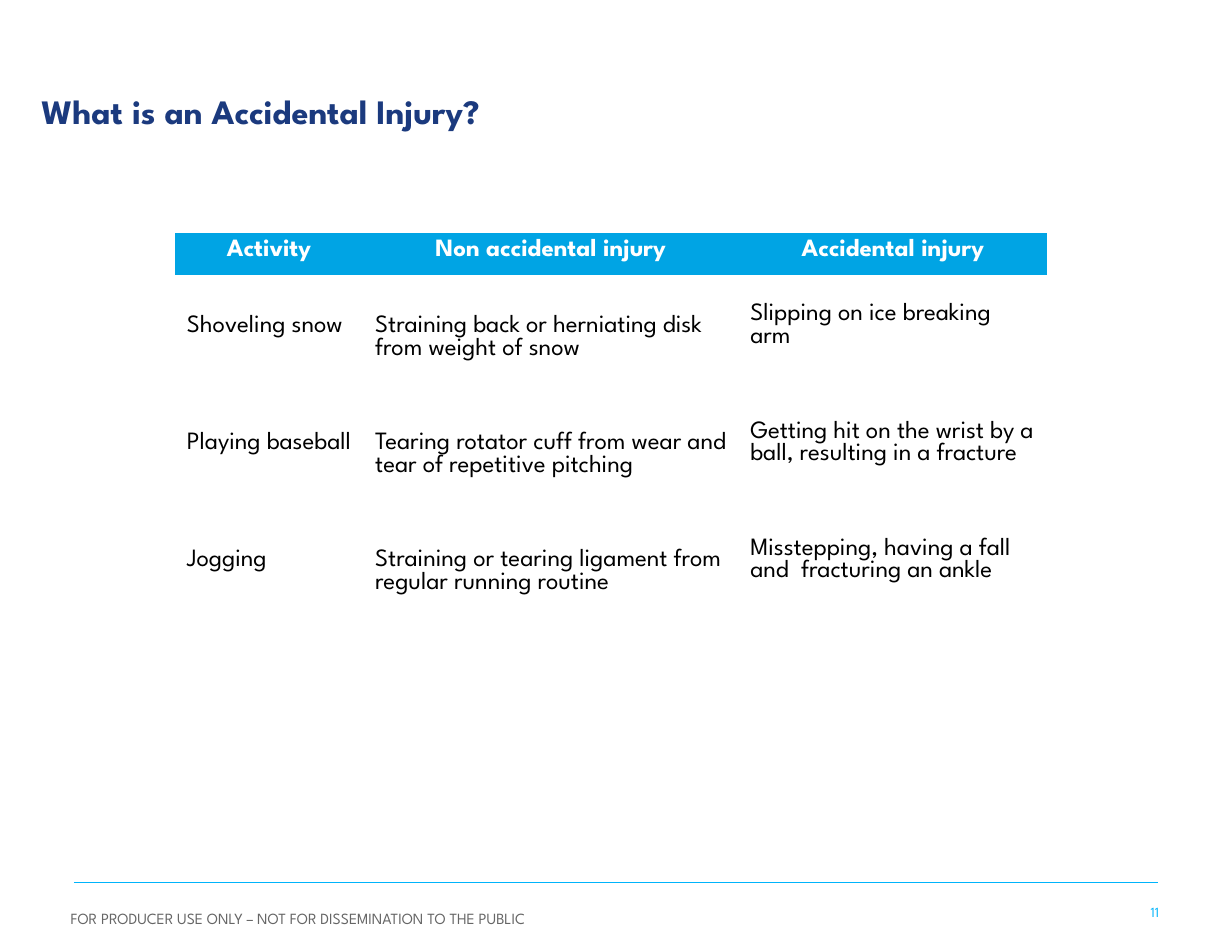
from dataclasses import dataclass
from pptx import Presentation
from pptx.dml.color import RGBColor as RGB
from pptx.enum.shapes import MSO_CONNECTOR as CONNECTOR
from pptx.enum.text import MSO_ANCHOR as ANCHOR, MSO_AUTO_SIZE as AUTO, PP_ALIGN as ALIGN
from pptx.oxml.ns import qn
from pptx.util import Pt
from lxml import etree


@dataclass(frozen=True)
class Theme:
    font: str = "League Spartan"
    navy: str = "1B3A7E"
    blue: str = "00A4E4"
    cyan: str = "00B4FB"
    gray: str = "666666"
    white: str = "FFFFFF"
    black: str = "000000"
    title: int = 22
    table: int = 16
    footer: int = 10
    number: int = 9


T = Theme()
NO_STYLE = "{2D5ABB26-0587-4C30-8999-92F81FD0307C}"


def write(tf, text, size, color, bold=False, align=ALIGN.LEFT):
    tf.text = text
    p = tf.paragraphs[0]
    p.alignment = align
    font = p.runs[0].font
    font.name, font.size, font.bold = T.font, Pt(size), bold
    font.color.rgb = RGB.from_string(color)


def frame(sp, anchor, wrap=True):
    tf = sp.text_frame
    tf.margin_left = tf.margin_right = tf.margin_top = tf.margin_bottom = 0
    tf.auto_size, tf.vertical_anchor, tf.word_wrap = AUTO.NONE, anchor, wrap
    return tf


prs = Presentation()
prs.slide_width, prs.slide_height = Pt(792), Pt(612)
s = prs.slides.add_slide(prs.slide_layouts[5])

# Footer rule, slide number and notice
rule = s.shapes.add_connector(CONNECTOR.STRAIGHT, Pt(47.5), Pt(567.4), Pt(744.5), Pt(567.4))
rule.line.color.rgb = RGB.from_string(T.cyan)
rule.line.width = Pt(0.75)
etree.SubElement(rule._element.spPr, qn("a:effectLst"))

sp = s.shapes.add_textbox(Pt(720.7), Pt(573.8), Pt(24.5), Pt(24.5))
write(frame(sp, ANCHOR.MIDDLE), "11", T.number, T.cyan, align=ALIGN.RIGHT)

sp = s.shapes.add_textbox(Pt(45.4), Pt(583.9), Pt(331.2), Pt(12.2))
write(frame(sp, ANCHOR.BOTTOM, wrap=False),
      "FOR PRODUCER USE ONLY – NOT FOR DISSEMINATION TO THE PUBLIC", T.footer, T.gray)

# Title
title = s.shapes.title
title.left, title.top, title.width, title.height = Pt(26.6), Pt(33.8), Pt(495.4), Pt(50.4)
write(frame(title, ANCHOR.BOTTOM), "What is an Accidental Injury?", T.title, T.navy, bold=True)

# Injury table
rows = [
    ("Activity", "Non accidental injury", "Accidental injury"),
    ("Shoveling snow", "Straining back or herniating disk from weight of snow",
     "Slipping on ice breaking arm"),
    ("Playing baseball", "Tearing rotator cuff from wear and tear of repetitive pitching",
     "Getting hit on the wrist by a ball, resulting in a fracture"),
    ("Jogging", "Straining or tearing ligament from regular running routine",
     "Misstepping, having a fall and  fracturing an ankle"),
]
widths = [121, 241.2, 198.7]
heights = [27.2, 65.6, 85, 65.6]
table = s.shapes.add_table(len(rows), len(widths), Pt(112.5), Pt(149.8),
                           Pt(sum(widths)), Pt(sum(heights))).table
table.horz_banding = False
table._tbl.tblPr.find(qn("a:tableStyleId")).text = NO_STYLE
for column, width in zip(table.columns, widths):
    column.width = Pt(width)
for row, height in zip(table.rows, heights):
    row.height = Pt(height)

for i, texts in enumerate(rows):
    for j, text in enumerate(texts):
        cell = table.cell(i, j)
        cell.margin_left = cell.margin_right = Pt(7.7)
        cell.margin_top = cell.margin_bottom = Pt(3.6)
        if i == 0:
            cell.fill.solid()
            cell.fill.fore_color.rgb = RGB.from_string(T.blue)
            write(cell.text_frame, text, T.table, T.white, bold=True, align=ALIGN.CENTER)
        else:
            cell.fill.background()
            cell.vertical_anchor = ANCHOR.MIDDLE
            write(cell.text_frame, text, T.table, T.black)
            if j == 1:  # the middle column sits half a line lower
                cell.margin_top = Pt(18.4)

prs.save("out.pptx")
